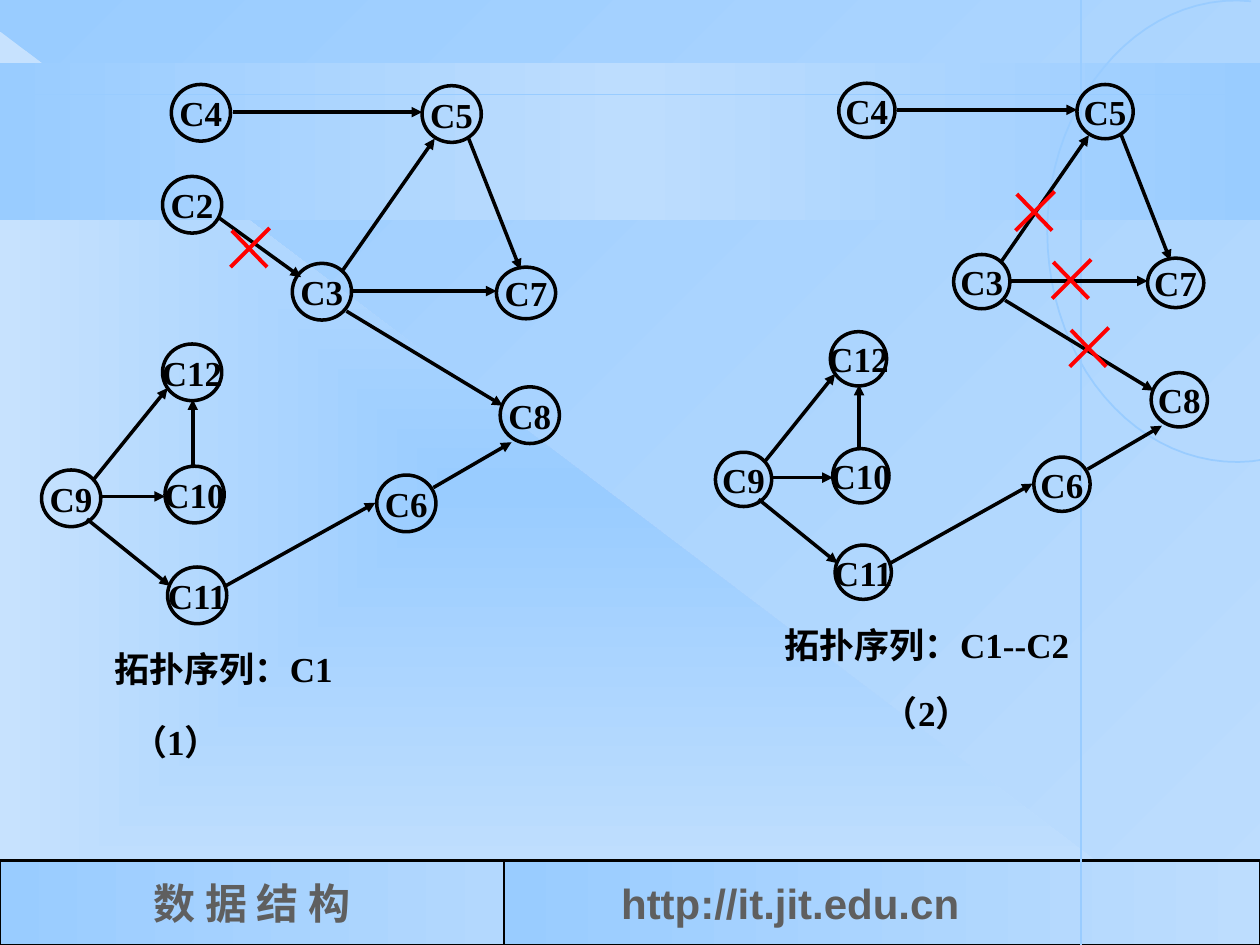
from lxml import etree
from pptx import Presentation, util as u
from pptx.dml.color import RGBColor
from pptx.enum import shapes, text
from pptx.oxml.ns import qn

# Content: every position is (column, row) on a 1000 x 750 grid over the slide
COLORS = {"sky": "99CCFF", "pale": "BDDDFE", "ice": "C7E2FE", "mist": "B3D8FE",
          "ink": "000000", "gray": "5F5F5F", "red": "FF0000"}
COLS, ROWS = 1000, 750
NODE_W, NODE_H = 47, 45
NODES = {"C2": (129, 140), "C3": (232, 209), "C4": (136, 67), "C5": (335, 68),
         "C6": (299, 377), "C7": (394, 212), "C8": (397, 307), "C9": (33, 373),
         "C10": (131, 370), "C11": (133, 450), "C12": (129, 273)}
NODE_HEIGHTS = {"C7": 41}
EDGES = [("C2", (174, 173), (239, 220)), ("C4", (185, 89), (335, 89)),
         ("C3", (271, 216), (345, 110)), ("C3", (280, 231), (394, 231)),
         ("C5", (372, 110), (413, 214)), ("C9", (74, 381), (133, 308)),
         ("C9", (81, 394), (131, 394)), ("C10", (153, 370), (153, 317)),
         ("C9", (69, 412), (135, 465)), ("C11", (179, 465), (298, 399)),
         ("C6", (344, 387), (406, 351)), ("C3", (275, 247), (399, 322))]
# The second step is the same graph, moved and slightly reduced, without C2
STEPS = [
    {"origin": (0, 0), "scale": (1, 1), "removed": (),
     "labels": [("拓扑序列：C1", (81, 509), 200), ("（1）", (95, 567), 103)],
     "crosses": [(183, 181)]},
    {"origin": (536.5, 2), "scale": (0.95, 0.957), "removed": ("C2",),
     "labels": [("拓扑序列：C1--C2", (613, 490), 252), ("（2）", (691, 544), 103)],
     "crosses": [(806, 152), (835, 206), (849, 260)]},
]
LABEL_H = 44
CROSS = [((1, 2), (29, 31)), ((31, 0), (0, 31))]
# text, left, width, font, alignment, left inset, gradient, angle
FOOTER_TOP = 683
FOOTER = [
    ("数 据 结 构", 0, 400, "Times New Roman", text.PP_ALIGN.CENTER, 10, ("mist", "sky"), 180),
    ("http://it.jit.edu.cn", 400, 600, "Arial", text.PP_ALIGN.LEFT, 93, ("sky", "pale"), 0),
]
ARC_START = (993, 1)
ARC = [((934, -5), (878, 33), (850, 96)), ((821, 159), (826, 237), (862, 295)),
       ((898, 352), (958, 378), (1015, 362))]

prs = Presentation()
prs.slide_width, prs.slide_height = u.Inches(10), u.Inches(7.5)
s = prs.slides.add_slide(prs.slide_layouts[6])


def grid(*values):
    """Grid units to slide lengths; the cells are square."""
    return [round(v * prs.slide_width / COLS) for v in values]


def rgb(name):
    return RGBColor.from_string(COLORS[name])


def set_gradient(owner, fill, names, angle=None):
    """Evenly spaced stops; without an angle they run outwards from the centre."""
    fill.gradient()
    g = next(owner.iter(qn("a:gradFill")))
    for child in list(g):
        g.remove(child)
    stops = etree.SubElement(g, qn("a:gsLst"))
    for i, name in enumerate(names):
        gs = etree.SubElement(stops, qn("a:gs"), pos=str(100000 * i // (len(names) - 1)))
        etree.SubElement(gs, qn("a:srgbClr"), val=COLORS[name])
    if angle is None:
        to_center = etree.SubElement(g, qn("a:path"), path="rect")
        etree.SubElement(to_center, qn("a:fillToRect"), l="50000", t="50000", r="50000", b="50000")
    else:
        etree.SubElement(g, qn("a:lin"), ang=str(angle * 60000), scaled="0")


def set_line(sp, color, width):
    sp.line.color.rgb = rgb(color)
    sp.line.width = u.Pt(width)


def add_shape(kind, x, y, w, h):
    sp = s.shapes.add_shape(kind, *grid(x, y, w, h))
    sp.shadow.inherit = False
    sp.line.fill.background()
    return sp


def add_line(start, end, color, width, arrow=False):
    c = s.shapes.add_connector(shapes.MSO_CONNECTOR.STRAIGHT, *grid(*start, *end))
    set_line(c, color, width)
    etree.SubElement(c.element.spPr, qn("a:effectLst"))
    if arrow:
        etree.SubElement(c.element.spPr.find(qn("a:ln")), qn("a:tailEnd"), type="triangle")


def set_text(sp, words, size, font="Times New Roman", color="ink",
             align=text.PP_ALIGN.CENTER, anchor=text.MSO_ANCHOR.MIDDLE):
    tf = sp.text_frame
    tf.text = words
    tf.word_wrap = False
    tf.vertical_anchor = anchor
    p = tf.paragraphs[0]
    p.alignment = align
    f = p.runs[0].font
    f.name, f.size, f.bold = font, u.Pt(size), True
    f.color.rgb = rgb(color)


def curve_points(start, curves, steps=16):
    """Points along a chain of cubic curves."""
    for a, b, end in curves:
        for i in range(1, steps + 1):
            t = i / steps
            weights = ((1 - t) ** 3, 3 * t * (1 - t) ** 2, 3 * t * t * (1 - t), t ** 3)
            yield tuple(grid(*(sum(w * pt[k] for w, pt in zip(weights, (start, a, b, end)))
                               for k in (0, 1))))
        start = end


# Background
set_gradient(s.element, s.background.fill, ("pale", "sky"), 225)
triangle = add_shape(shapes.MSO_SHAPE.RIGHT_TRIANGLE, 0, 25, 958, 725)
set_gradient(triangle.element, triangle.fill, ("sky", "ice"))
band = add_shape(shapes.MSO_SHAPE.RECTANGLE, 0, 50, COLS, 125)
set_gradient(band.element, band.fill, ("sky", "pale", "sky"), 180)

# Footer
for words, x, w, font, align, inset, names, angle in FOOTER:
    sp = add_shape(shapes.MSO_SHAPE.RECTANGLE, x, FOOTER_TOP, w, ROWS - FOOTER_TOP)
    set_gradient(sp.element, sp.fill, names, angle)
    set_line(sp, "ink", 1.5)
    set_text(sp, words, 24, font, "gray", align)
    sp.text_frame.margin_left = grid(inset)[0]

# Thin guide lines and arc
add_line((0, 75), (COLS, 75), "sky", 1)
add_line((858, 0), (858, ROWS), "sky", 1.5)
builder = s.shapes.build_freeform(*grid(*ARC_START))
builder.add_line_segments(list(curve_points(ARC_START, ARC)), close=False)
arc = builder.convert_to_shape()
arc.shadow.inherit = False
arc.fill.background()
set_line(arc, "sky", 1)

# Graph at each step
for step in STEPS:
    (ox, oy), (kx, ky) = step["origin"], step["scale"]

    def place(point):
        return ox + kx * point[0], oy + ky * point[1]

    for name, corner in NODES.items():
        if name not in step["removed"]:
            h = NODE_HEIGHTS.get(name, NODE_H)
            sp = add_shape(shapes.MSO_SHAPE.OVAL, *place(corner), kx * NODE_W, ky * h)
            sp.fill.background()
            set_line(sp, "ink", 2)
            set_text(sp, name, 20)
    for source, start, end in EDGES:
        if source not in step["removed"]:
            add_line(place(start), place(end), "ink", 2, arrow=True)
    # Labels grow with their text, so each stays on one line
    for words, corner, w in step["labels"]:
        box = s.shapes.add_textbox(*grid(*corner, w, LABEL_H))
        set_text(box, words, 20, align=text.PP_ALIGN.LEFT, anchor=text.MSO_ANCHOR.TOP)
        box.text_frame.auto_size = text.MSO_AUTO_SIZE.SHAPE_TO_FIT_TEXT

# Crosses on the deleted edges
for x, y in (corner for step in STEPS for corner in step["crosses"]):
    for (x1, y1), (x2, y2) in CROSS:
        add_line((x + x1, y + y1), (x + x2, y + y2), "red", 2.25)

prs.save("out.pptx")
